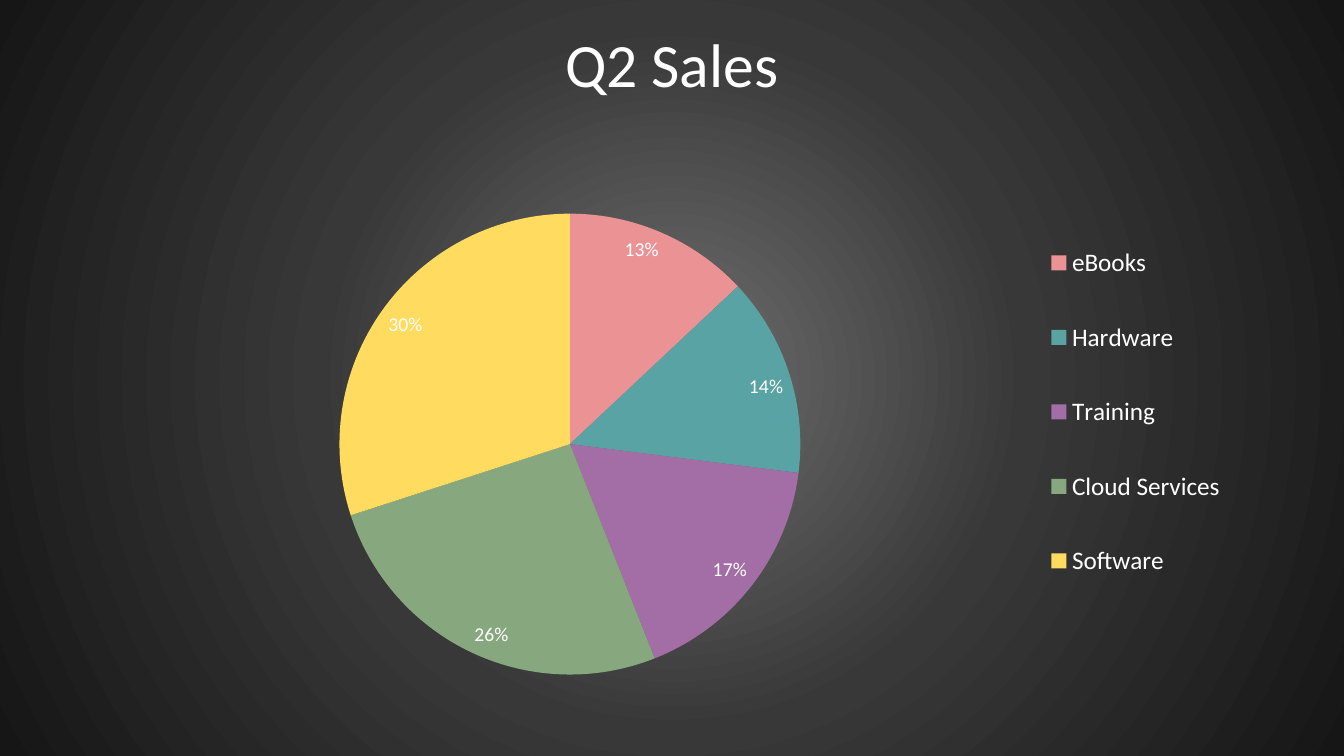
from lxml.etree import SubElement
from pptx import Presentation
from pptx.chart.data import CategoryChartData
from pptx.dml.color import RGBColor
from pptx.enum.chart import XL_CHART_TYPE as Kind
from pptx.enum.chart import XL_LABEL_POSITION as Spot
from pptx.enum.chart import XL_LEGEND_POSITION as Side
from pptx.enum.text import MSO_ANCHOR as Anchor
from pptx.enum.text import PP_ALIGN as Align
from pptx.oxml import parse_xml
from pptx.oxml.ns import nsdecls, qn
from pptx.util import Pt

TITLE = "Q2 Sales"
FACE = "Calibri"
COLORS = {
    "text": "FFFFFF",
    "glow": "707070",
    "mid": "383838",
    "edge": "161616",
    "rose": "EB9294",
    "teal": "5AA3A4",
    "plum": "A36EA6",
    "sage": "87A87E",
    "gold": "FFDB5F",
}
SALES = [
    ("eBooks", 13, "rose"),
    ("Hardware", 14, "teal"),
    ("Training", 17, "plum"),
    ("Cloud Services", 26, "sage"),
    ("Software", 30, "gold"),
]
STOPS = [(0, "glow"), (46, "mid"), (100, "edge")]
# Left, top, width, height as shares of the chart frame
PIE_BOX = (0.065, 0.181, 0.694, 0.73)
KEY_BOX = (0.815, 0.165, 0.17, 0.66)
LEFT, WIDTH = 66, 828


def style(font, size):
    font.name = FACE
    font.size = Pt(size)
    font.color.rgb = RGBColor.from_string(COLORS["text"])


def paint(slide):
    """Give the slide a round gradient that darkens outwards."""
    stops = "".join(
        f'<a:gs pos="{pos * 1000}"><a:srgbClr val="{COLORS[name]}"/></a:gs>'
        for pos, name in STOPS)
    slide.element.cSld.insert(0, parse_xml(
        f'<p:bg {nsdecls("p", "a")}><p:bgPr><a:gradFill rotWithShape="1">'
        f'<a:gsLst>{stops}</a:gsLst><a:path path="circle">'
        '<a:fillToRect l="50000" t="50000" r="50000" b="50000"/></a:path>'
        '</a:gradFill><a:effectLst/></p:bgPr></p:bg>'))


def place(part, index, box, inner=False):
    """Set a manual layout as the child at index of a chart part."""
    old = part.find(qn("c:layout"))
    if old is not None:
        part.remove(old)
    layout = parse_xml(f'<c:layout {nsdecls("c")}><c:manualLayout/></c:layout>')
    rules = [("layoutTarget", "inner")] if inner else []
    rules += [("xMode", "edge"), ("yMode", "edge")]
    rules += zip("xywh", box)
    for tag, value in rules:
        SubElement(layout[0], qn(f"c:{tag}")).set("val", str(value))
    part.insert(index, layout)


def add_title(slide):
    title = slide.shapes.title
    title.left, title.top = Pt(LEFT), Pt(11)
    title.width, title.height = Pt(WIDTH), Pt(74)
    title.text_frame.vertical_anchor = Anchor.MIDDLE
    para = title.text_frame.paragraphs[0]
    para.alignment = Align.CENTER
    para.line_spacing = 0.9
    run = para.add_run()
    run.text = TITLE
    style(run.font, 44)


def add_pie(slide):
    data = CategoryChartData()
    data.categories = [name for name, _, _ in SALES]
    data.add_series("Series 1", [value for _, value, _ in SALES])
    chart = slide.shapes.add_chart(
        Kind.PIE, Pt(LEFT), Pt(71), Pt(WIDTH), Pt(451), data).chart
    style(chart.font, 10)
    chart.has_title = False
    chart.has_legend = True
    legend = chart.legend
    legend.position = Side.RIGHT
    legend.include_in_layout = False
    style(legend.font, 18)

    plot = chart.plots[0]
    plot.vary_by_categories = True
    series = plot.series[0]
    for i, (_, _, color) in enumerate(SALES):
        fill = series.points[i].format.fill
        fill.solid()
        fill.fore_color.rgb = RGBColor.from_string(COLORS[color])
    labels = series.data_labels
    labels.show_percentage = True
    labels.show_value = False
    labels.number_format = "0%"
    labels.number_format_is_linked = False
    labels.position = Spot.INSIDE_END
    style(labels.font, 14)

    root = chart.element
    place(root.find(".//" + qn("c:plotArea")), 0, PIE_BOX, inner=True)
    place(root.find(".//" + qn("c:legend")), 1, KEY_BOX)


def main():
    deck = Presentation()
    deck.slide_width, deck.slide_height = Pt(960), Pt(540)
    slide = deck.slides.add_slide(deck.slide_layouts[5])
    paint(slide)
    add_title(slide)
    add_pie(slide)
    deck.save("out.pptx")


if __name__ == "__main__":
    main()
